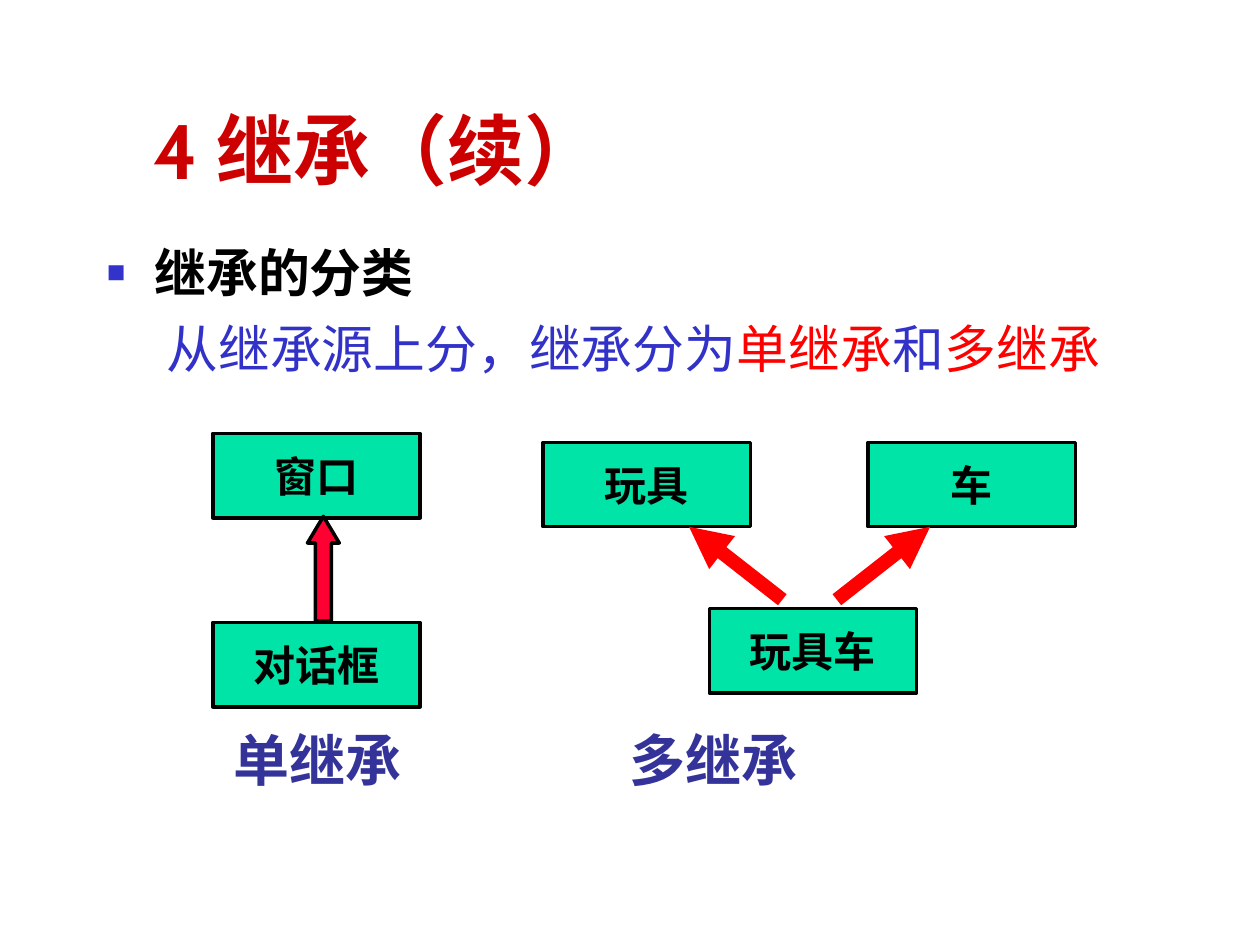
from pptx import Presentation
from pptx.dml.color import RGBColor
from pptx.enum.shapes import MSO_CONNECTOR, MSO_SHAPE
from pptx.enum.text import MSO_ANCHOR, PP_ALIGN
from pptx.oxml import parse_xml
from pptx.oxml.ns import nsdecls
from pptx.util import Cm, Pt

RECTANGLE, UP_ARROW = MSO_SHAPE.RECTANGLE, MSO_SHAPE.UP_ARROW
STRAIGHT = MSO_CONNECTOR.STRAIGHT
LEFT, CENTER = PP_ALIGN.LEFT, PP_ALIGN.CENTER
MIDDLE, BOTTOM = MSO_ANCHOR.MIDDLE, MSO_ANCHOR.BOTTOM

BLACK = RGBColor(0x00, 0x00, 0x00)
DARK_RED = RGBColor(0xCC, 0x00, 0x00)
RED = RGBColor(0xFF, 0x00, 0x00)
CRIMSON = RGBColor(0xFF, 0x00, 0x33)
BLUE = RGBColor(0x32, 0x32, 0xC8)
NAVY = RGBColor(0x33, 0x33, 0x99)
GREEN = RGBColor(0x00, 0xE4, 0xA8)

BULLET = (
    '<a:buClr {ns}><a:srgbClr val="3333CC"/></a:buClr>',
    '<a:buSzPct {ns} val="60000"/>',
    '<a:buChar {ns} char="■"/>',
)
NO_BULLET = ("<a:buNone {ns}/>",)


def add_text(paragraph, text, *, size, color, font="Cabin", bold=True):
    run = paragraph.add_run()
    run.text = text
    run.font.name = font
    run.font.size = Pt(size)
    run.font.bold = bold
    run.font.color.rgb = color


def format_paragraph(paragraph, margin, indent, marks=NO_BULLET):
    """Set the indents in cm and the bullet elements."""
    properties = paragraph._p.get_or_add_pPr()
    properties.set("marL", str(Cm(margin)))
    properties.set("indent", str(Cm(indent)))
    for mark in marks:
        properties.append(parse_xml(mark.format(ns=nsdecls("a"))))


def place(shape, left, top, width, height):
    shape.left, shape.top = Cm(left), Cm(top)
    shape.width, shape.height = Cm(width), Cm(height)


class InheritanceSlide:
    """Holds the current slide and the style of its elements."""

    box_size = (4.18, 1.7)
    outline = 2

    def __init__(self, presentation):
        self.slide = presentation.slides.add_slide(presentation.slide_layouts[1])

    def title(self, text):
        shape = self.slide.shapes.title
        place(shape, 2.49, 1.52, 21.64, 2.54)
        shape.text_frame.vertical_anchor = BOTTOM
        paragraph = shape.text_frame.paragraphs[0]
        paragraph.alignment = LEFT
        format_paragraph(paragraph, 0.36, 0)
        add_text(paragraph, text, size=44, color=DARK_RED)

    def body(self, heading, parts):
        shape = self.slide.placeholders[1]
        place(shape, 1.9, 4.72, 22.96, 4.01)
        first = shape.text_frame.paragraphs[0]
        format_paragraph(first, 0.96, -0.96, BULLET)
        first.space_before = Pt(0)
        add_text(first, heading, size=29.6, color=BLACK)
        second = shape.text_frame.add_paragraph()
        format_paragraph(second, 1.2, 0)
        second.space_before = Pt(8)
        for text, color in parts:
            add_text(second, text, size=29.6, color=color, bold=False)

    def shape(self, kind, left, top, width, height, fill):
        shape = self.slide.shapes.add_shape(
            kind, Cm(left), Cm(top), Cm(width), Cm(height))
        shape.shadow.inherit = False
        shape.fill.solid()
        shape.fill.fore_color.rgb = fill
        shape.line.color.rgb = BLACK
        shape.line.width = Pt(self.outline)
        return shape

    def class_box(self, text, left, top):
        frame = self.shape(RECTANGLE, left, top, *self.box_size, GREEN).text_frame
        frame.word_wrap = False
        frame.vertical_anchor = MIDDLE
        paragraph = frame.paragraphs[0]
        paragraph.alignment = CENTER
        add_text(paragraph, text, size=24, color=BLACK, font="Times New Roman")

    def block_arrow(self, left, top, width, height):
        arrow = self.shape(UP_ARROW, left, top, width, height, CRIMSON)
        arrow.adjustments[0] = 0.5
        arrow.adjustments[1] = 0.84

    def line_arrow(self, start, end):
        connector = self.slide.shapes.add_connector(
            STRAIGHT, *(Cm(value) for value in (*start, *end)))
        connector.line.color.rgb = RED
        connector.line.width = Pt(8)
        connector.line._get_or_add_ln().append(
            parse_xml(f'<a:tailEnd {nsdecls("a")} type="triangle"/>'))
        connector._element.spPr.append(
            parse_xml(f'<a:effectLst {nsdecls("a")}/>'))

    def label(self, text, left):
        box = self.slide.shapes.add_textbox(Cm(left), Cm(14.5), Cm(5), Cm(1.7))
        box.text_frame.word_wrap = True
        add_text(box.text_frame.paragraphs[0], text, size=32, color=NAVY)


def main():
    presentation = Presentation()
    presentation.slide_width, presentation.slide_height = Cm(25.4), Cm(19.05)
    page = InheritanceSlide(presentation)
    page.title("4 继承（续）")
    page.body("继承的分类", [
        ("从继承源上分，继承分为", BLUE),
        ("单继承", RED),
        ("和", BLUE),
        ("多继承", RED),
    ])
    for text, left, top in (
        ("窗口", 4.29, 8.74),
        ("对话框", 4.29, 12.55),
        ("玩具", 10.95, 8.92),
        ("车", 17.5, 8.92),
        ("玩具车", 14.3, 12.27),
    ):
        page.class_box(text, left, top)
    page.block_arrow(6.2, 10.41, 0.64, 2.11)
    for start_x, end_x in ((15.77, 13.89), (16.87, 18.75)):
        page.line_arrow((start_x, 12.09), (end_x, 10.62))
    page.label("单继承", 4.45)
    page.label("多继承", 12.45)
    presentation.save("out.pptx")


if __name__ == "__main__":
    main()
